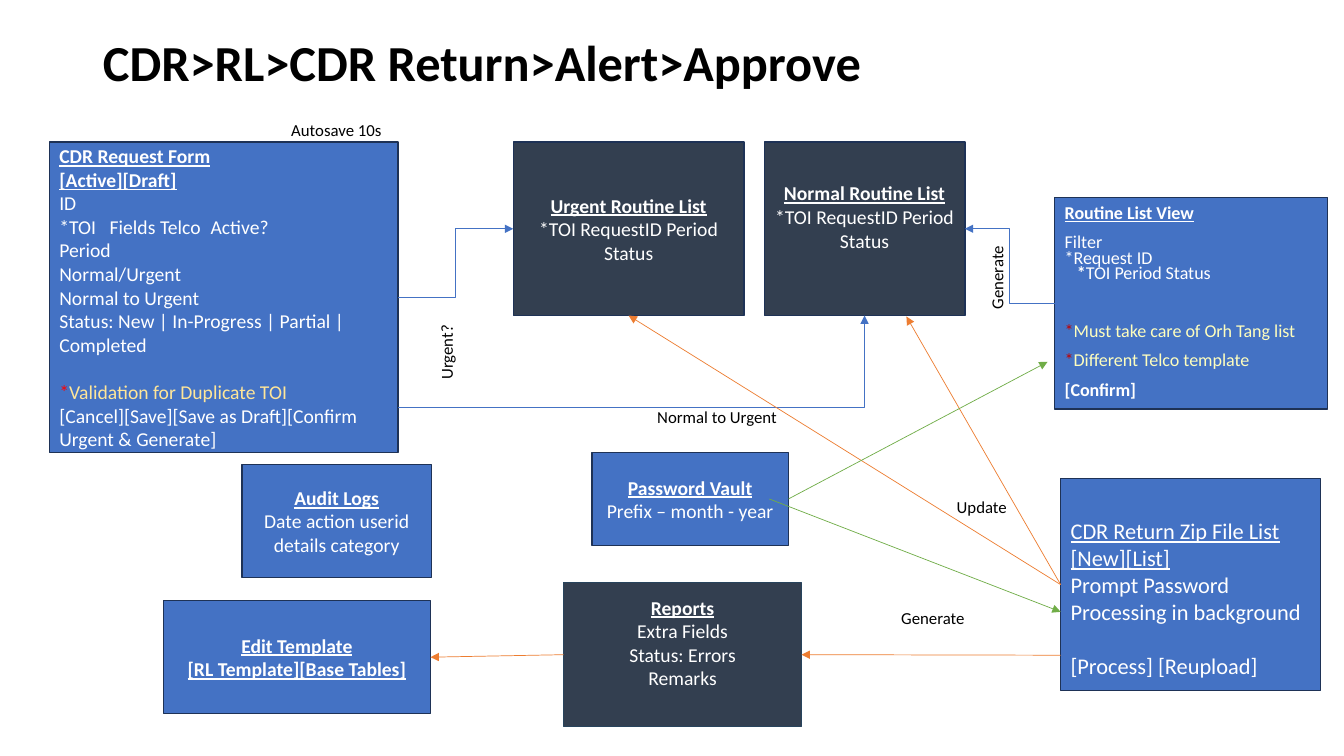
from lxml import etree
from pptx import Presentation
from pptx import util as u
from pptx.dml.color import RGBColor
from pptx.enum import shapes, text
from pptx.oxml.ns import qn

PX = u.Inches(1) // 100
FONT = "Calibri"
COLOURS = {
    "blue": "4472C4", "slate": "333F50", "navy": "1E3256", "steel": "28445D",
    "orange": "ED7D31", "green": "70AD47", "white": "FFFFFF", "black": "000000",
    "red": "FF0000", "crimson": "C00000", "sand": "FFE699", "cream": "FEFEBE",
}
STYLES = {
    "plain": ("white", False, False), "bold": ("white", True, False),
    "under": ("white", False, True), "head": ("white", True, True),
    "alert": ("red", False, False), "sand": ("sand", False, False),
    "crimson": ("crimson", False, False), "cream": ("cream", False, False),
}
TITLE = "CDR>RL>CDR Return>Alert>Approve"
TITLE_AREA = (92, 40, 1150, 49)
FIELD_TABS = (59, 117, 171)

BOXES = {
    "form": dict(area=(49, 141, 346, 308), lines=[
        [("CDR Request Form", "head")], [("[Active][Draft]", "head")],
        [("ID", "plain")], [("*TOI\tFields\tTelco\tActive?", "plain")],
        [("Period", "plain")], [("Normal/Urgent", "plain")],
        [("Normal to Urgent", "plain")],
        [("Status: New | In-Progress | Partial | Completed", "plain")],
        [("*", "alert"), ("Validation for Duplicate TOI", "sand")],
        [("[Cancel][Save][Save as Draft][Confirm Urgent & Generate]", "plain")],
    ], gaps={8: 17}),
    "urgent": dict(area=(509, 141, 229, 172), fill="slate", centred=True, lines=[
        [("Urgent Routine List", "head")],
        [("*TOI RequestID Period Status", "plain")]]),
    "normal": dict(area=(758, 141, 199, 172), fill="slate", centred=True, foot=29, lines=[
        [("Normal Routine List", "head")],
        [("*TOI RequestID Period Status", "plain")]]),
    "zip_list": dict(area=(1052, 475, 258, 210), size=16, head=32, lines=[
        [("CDR Return Zip File List", "under")], [("[New][List]", "under")],
        [("Prompt Password", "plain")], [("Processing in background", "plain")],
        [("[Process] [Reupload]", "plain")]], gaps={4: 19.5}),
    "reports": dict(area=(559, 578, 236, 143), fill="slate", line="steel",
                    centred=True, foot=29, lines=[
        [("Reports", "head")], [("Extra Fields", "plain")],
        [("Status: Errors", "plain")], [("Remarks", "plain")]]),
    "template": dict(area=(162, 596, 265, 112), centred=True, lines=[
        [("Edit Template", "head")], [("[RL Template][Base Tables]", "head")]]),
    "logs": dict(area=(240, 461, 188, 112), centred=True, lines=[
        [("Audit Logs", "head")], [("Date action userid details category", "plain")]]),
    "vault": dict(area=(587, 449, 195, 92), centred=True, lines=[
        [("Password Vault", "head")], [("Prefix – month - year", "plain")]]),
}
ROUTINE_VIEW = dict(area=(1046, 196, 271, 210), size=12.9, spacing=0.7, lines=[
    [("Routine List View", "head")], [("Filter", "plain")],
    [("*Request ID", "plain")], [("*", "bold"), ("TOI Period Status", "plain")],
    [("*", "crimson"), ("Must take care of Orh Tang list", "cream")],
    [("*", "crimson"), ("Different Telco template", "cream")],
    [("[Confirm]", "bold")],
], gaps={0: 10, 1: 10, 4: 31, 5: 10, 6: 10}, indents={3: 12})

LABELS = [
    ("Urgent?", (390, 319, 105, 30), 270),
    ("Generate", (936, 249, 105, 30), 270),
    ("Normal to Urgent", (642, 399, 167, 30), 0),
    ("Generate", (884, 598, 105, 30), 0),
    ("Update", (939, 488, 72, 30), 0),
    ("Autosave 10s", (279, 114, 116, 30), 0),
]
TOP, LEFT, BOTTOM, RIGHT = range(4)
ARROWS = [
    ("bentConnector3", "blue", ("form", RIGHT), ("urgent", LEFT)),
    ("bentConnector3", "blue", ("routine", LEFT), ("normal", RIGHT)),
    ("bentConnector2", "blue", (395, 404), ("normal", BOTTOM)),
    ("line", "orange", ("zip_list", LEFT), ("reports", RIGHT), 650),
    ("line", "orange", ("zip_list", LEFT), (899, 314)),
    ("line", "orange", ("zip_list", LEFT), ("urgent", BOTTOM)),
    ("line", "orange", ("reports", LEFT), ("template", RIGHT)),
    ("line", "green", ("vault", RIGHT), (1039, 359)),
    ("line", "green", (763, 495), (1052, 607)),
]


def colour(name):
    return RGBColor.from_string(COLOURS[name])


def scaled(numbers):
    return [n * PX for n in numbers]


def place(part, area):
    part.left, part.top, part.width, part.height = scaled(area)


def format_run(run, size, ink, bold=False, underline=False):
    run.font.name, run.font.size = FONT, u.Pt(size)
    run.font.bold, run.font.underline = bold, underline
    run.font.color.rgb = colour(ink)


def fill_box(box, lines, area, fill="blue", line="navy", centred=False, size=14,
             spacing=1.0, head=5, foot=5, gaps={}, indents={}):
    box.shadow.inherit = False
    box.fill.solid()
    box.fill.fore_color.rgb = colour(fill)
    box.line.color.rgb = colour(line)
    box.line.width = u.Pt(1)
    frame = box.text_frame
    frame.word_wrap = True
    frame.auto_size = text.MSO_AUTO_SIZE.NONE
    frame.vertical_anchor = text.MSO_ANCHOR.MIDDLE
    frame.margin_top, frame.margin_bottom = head * PX, foot * PX
    for i, pieces in enumerate(lines):
        para = frame.add_paragraph() if i else frame.paragraphs[0]
        para.alignment = text.PP_ALIGN.CENTER if centred else text.PP_ALIGN.LEFT
        para.line_spacing = spacing
        para.space_before, para.space_after = u.Pt(gaps.get(i, 0)), u.Pt(0)
        props = para._p.get_or_add_pPr()
        props.set("marL", str(indents.get(i, 0) * PX))
        props.set("indent", "0")
        etree.SubElement(props, qn("a:buNone"))
        if any("\t" in words for words, style in pieces):
            stops = etree.SubElement(props, qn("a:tabLst"))
            for stop in FIELD_TABS:
                etree.SubElement(stops, qn("a:tab"), pos=str(stop * PX), algn="l")
        for words, style in pieces:
            run = para.add_run()
            run.text = words
            format_run(run, size, *STYLES[style])


def site_point(box, site):
    x, y, w, h = box.left, box.top, box.width, box.height
    return [(x + w // 2, y), (x, y + h // 2), (x + w // 2, y + h), (x + w, y + h // 2)][site]


def add_arrow(slide, boxes, preset, ink, start, finish, level=None):
    def locate(end):
        if end[0] in boxes:
            return site_point(boxes[end[0]], end[1])
        return scaled(end)

    begin, stop = locate(start), locate(finish)
    if level:
        begin, stop = (begin[0], level * PX), (stop[0], level * PX)
    kind = shapes.MSO_CONNECTOR.STRAIGHT if preset == "line" else shapes.MSO_CONNECTOR.ELBOW
    arrow = slide.shapes.add_connector(kind, *begin, *stop)
    if start[0] in boxes and not level:
        arrow.begin_connect(boxes[start[0]], start[1])
    if finish[0] in boxes:
        arrow.end_connect(boxes[finish[0]], finish[1])
    arrow.line.color.rgb = colour(ink)
    arrow.line.width = u.Pt(0.5)
    props = arrow._element.spPr
    props.find(qn("a:prstGeom")).set("prst", preset)
    etree.SubElement(props.find(qn("a:ln")), qn("a:tailEnd"), type="triangle")
    etree.SubElement(props, qn("a:effectLst"))


def main():
    deck = Presentation()
    deck.slide_width, deck.slide_height = scaled((1333, 750))
    slide = deck.slides.add_slide(deck.slide_layouts[1])

    title = slide.shapes.title
    place(title, TITLE_AREA)
    frame = title.text_frame
    frame.text = TITLE
    frame.auto_size = text.MSO_AUTO_SIZE.NONE
    frame.vertical_anchor = text.MSO_ANCHOR.MIDDLE
    frame.paragraphs[0].alignment = text.PP_ALIGN.LEFT
    frame.paragraphs[0].line_spacing = 0.9
    format_run(frame.paragraphs[0].runs[0], 36, "black", True)

    routine = slide.placeholders[1]
    place(routine, ROUTINE_VIEW["area"])
    fill_box(routine, **ROUTINE_VIEW)
    boxes = {"routine": routine}
    for name, content in BOXES.items():
        boxes[name] = slide.shapes.add_shape(
            shapes.MSO_SHAPE.RECTANGLE, *scaled(content["area"]))
        fill_box(boxes[name], **content)

    for words, area, turn in LABELS:
        label = slide.shapes.add_textbox(*scaled(area))
        label.rotation = turn
        label.text_frame.word_wrap = True
        label.text_frame.auto_size = text.MSO_AUTO_SIZE.SHAPE_TO_FIT_TEXT
        label.text_frame.text = words
        format_run(label.text_frame.paragraphs[0].runs[0], 12, "black")

    for arrow in ARROWS:
        add_arrow(slide, boxes, *arrow)
    deck.save("out.pptx")


if __name__ == "__main__":
    main()
